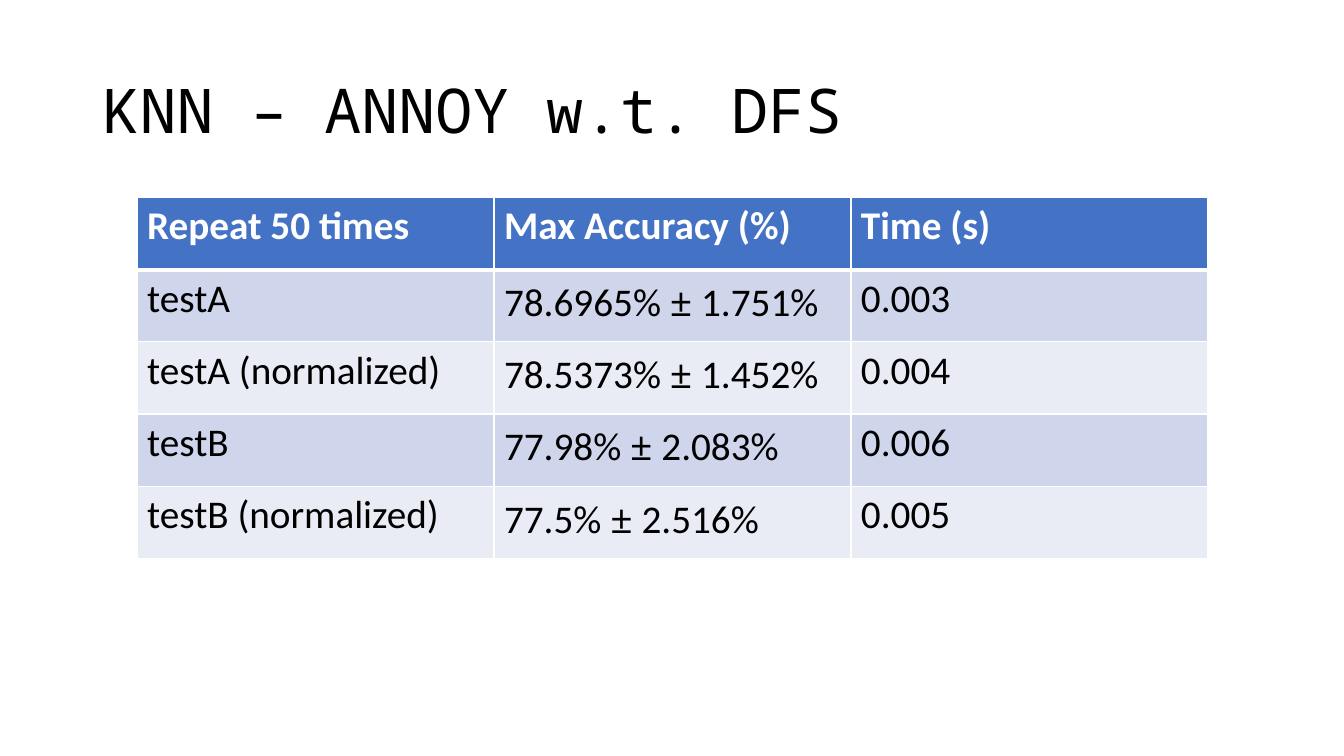
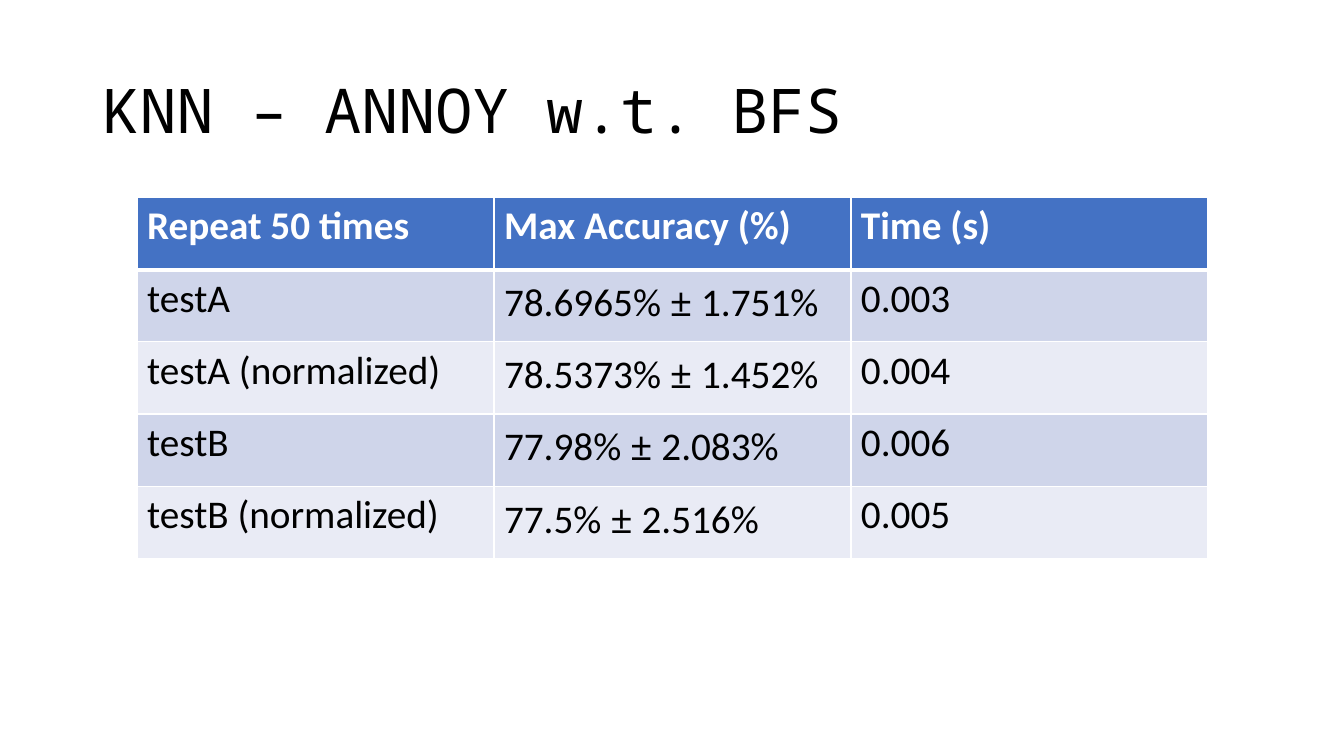
from dataclasses import dataclass
from typing import Any

from lxml.etree import SubElement as Sub
from pptx import Presentation
from pptx.dml.color import RGBColor
from pptx.enum.text import MSO_ANCHOR as Anchor
from pptx.oxml.ns import qn
from pptx.util import Inches, Pt

WHITE = RGBColor(0xFF, 0xFF, 0xFF)
BLACK = RGBColor(0, 0, 0)
BLUE = RGBColor(0x44, 0x72, 0xC4)
DARK = RGBColor(0xCF, 0xD5, 0xEA)
LIGHT = RGBColor(0xE9, 0xEB, 0xF5)

TITLE = {"name": "Noto Sans Mono", "size": Pt(44), "bold": False}
HEAD = {"name": "Calibri", "size": Pt(28), "bold": True}
BODY = {**HEAD, "bold": False}
SIGN = {**BODY, "name": "Open Sans"}


@dataclass(frozen=True)
class Test:
    name: str
    score: str
    time: str


@dataclass(frozen=True)
class Page:
    title: str
    tests: tuple[Test, ...]


HEADER = Test("Repeat 50 times", "Max Accuracy (%)", "Time (s)")
TESTS = (
    Test("testA", "78.6965% ± 1.751%", "0.003"),
    Test("testA (normalized)", "78.5373% ± 1.452%", "0.004"),
    Test("testB", "77.98% ± 2.083%", "0.006"),
    Test("testB (normalized)", "77.5% ± 2.516%", "0.005"),
)
PAGES = (
    Page("KNN – ANNOY w.t. DFS", TESTS),
    Page("KNN – ANNOY w.t. BFS", TESTS),
)


def add_run(para: Any, text: str, form: dict[str, Any], color: RGBColor) -> None:
    run = para.add_run()
    run.text = text
    for key, value in form.items():
        setattr(run.font, key, value)
    run.font.color.rgb = color


def add_title(slide: Any, text: str) -> None:
    box = slide.shapes.add_textbox(Inches(0.92), Inches(0.4), Inches(11.5), Inches(1.45))
    frame = box.text_frame
    for key, value in {"word_wrap": True, "vertical_anchor": Anchor.MIDDLE}.items():
        setattr(frame, key, value)
    para = frame.paragraphs[0]
    para.line_spacing = 0.9
    add_run(para, text, TITLE, BLACK)


def add_edges(cell: Any, top: float, base: float) -> None:
    props = cell._tc.get_or_add_tcPr()
    for side, width in {"L": 1, "R": 1, "T": top, "B": base}.items():
        line = Sub(props, qn(f"a:ln{side}"), w=str(Pt(width)))
        fill = Sub(line, qn("a:solidFill"))
        Sub(fill, qn("a:srgbClr"), val=str(WHITE))


def fill_cell(cell: Any, text: str, row: int) -> None:
    add_edges(cell, 3 if row == 1 else 1, 3 if row == 0 else 1)
    cell.fill.solid()
    cell.fill.fore_color.rgb = BLUE if row == 0 else DARK if row % 2 else LIGHT
    form, color = (HEAD, WHITE) if row == 0 else (BODY, BLACK)
    mean, sign, spread = text.partition("±")
    para = cell.text_frame.paragraphs[0]
    for part, style in ((mean, form), (sign, SIGN), (spread, form)):
        if part:
            add_run(para, part, style, color)


def add_grid(slide: Any, tests: tuple[Test, ...]) -> None:
    rows = (HEADER, *tests)
    grid = slide.shapes.add_table(
        len(rows), 3, Inches(1.36), Inches(1.96), Inches(10.62), Inches(3.58)
    ).table
    for row, test in enumerate(rows):
        for col, text in enumerate((test.name, test.score, test.time)):
            fill_cell(grid.cell(row, col), text, row)


def main() -> None:
    deck = Presentation()
    deck.slide_width, deck.slide_height = Inches(13.33), Inches(7.5)
    for page in PAGES:
        slide = deck.slides.add_slide(deck.slide_layouts[6])
        add_title(slide, page.title)
        add_grid(slide, page.tests)
    deck.save("out.pptx")


main()
